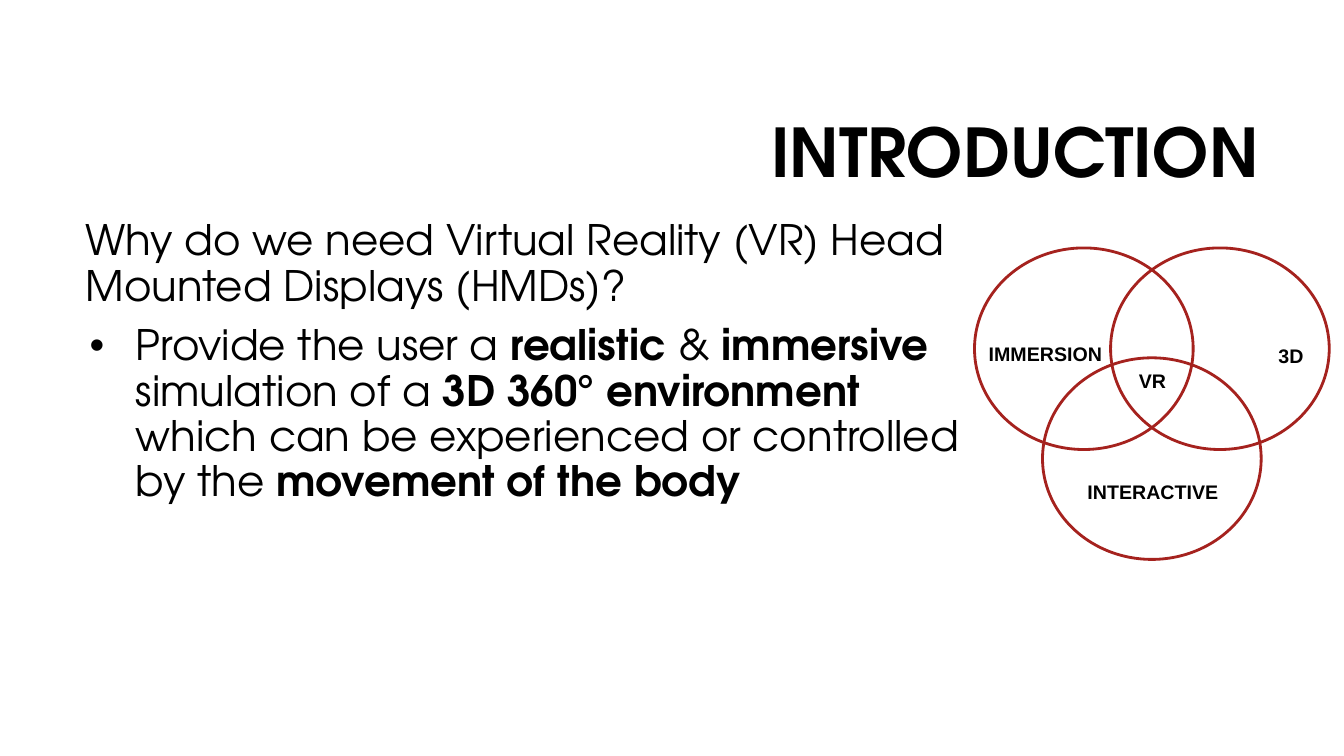
import pptx
import pptx.util
import pptx.dml.color
import pptx.enum.shapes
import pptx.enum.text
import pptx.oxml.ns
import lxml.etree

Pt = pptx.util.Pt
Align = pptx.enum.text.PP_ALIGN
Anchor = pptx.enum.text.MSO_ANCHOR


class Deck:
    head = "TeX Gyre Adventor"
    label = "Arial"
    hues = {"ink": "000000", "ring": "A5221E"}

    def __init__(self, wide, high):
        self.show = pptx.Presentation()
        self.show.slide_width, self.show.slide_height = Pt(wide), Pt(high)
        self.slide = self.show.slides.add_slide(self.show.slide_layouts[6])

    def hue(self, name):
        return pptx.dml.color.RGBColor.from_string(self.hues[name])

    def box(self, left, top, wide, high, anchor=Anchor.TOP):
        shape = self.slide.shapes.add_textbox(Pt(left), Pt(top), Pt(wide), Pt(high))
        frame = shape.text_frame
        frame.word_wrap = True
        frame.vertical_anchor = anchor
        return frame

    def fill(self, para, parts, size, font, align=Align.LEFT):
        """Fill a paragraph with (text, bold) parts."""
        para.alignment = align
        for text, bold in parts:
            run = para.add_run()
            run.text = text
            run.font.size = Pt(size)
            run.font.name = font
            run.font.bold = bold
            run.font.color.rgb = self.hue("ink")

    def bullet(self, para, left, hang):
        props = para._p.get_or_add_pPr()
        props.set("marL", str(Pt(left)))
        props.set("indent", str(-Pt(hang)))
        qn = pptx.oxml.ns.qn
        lxml.etree.SubElement(props, qn("a:buFont")).set("typeface", self.label)
        lxml.etree.SubElement(props, qn("a:buChar")).set("char", "•")

    def title(self, text, *area):
        para = self.box(*area, anchor=Anchor.MIDDLE).paragraphs[0]
        para.line_spacing = 0.9
        self.fill(para, [(text, True)], 48, self.head, Align.RIGHT)

    def body(self, lead, point, *area):
        frame = self.box(*area)
        first, second = frame.paragraphs[0], frame.add_paragraph()
        for para, parts in ((first, lead), (second, point)):
            para.line_spacing = 0.9
            para.space_before = Pt(10)
            self.fill(para, parts, 30, self.head)
        self.bullet(second, 36, 33)

    def ring(self, *area):
        oval = pptx.enum.shapes.MSO_SHAPE.OVAL
        shape = self.slide.shapes.add_shape(oval, *map(Pt, area))
        shape.shadow.inherit = False
        shape.fill.background()
        shape.line.color.rgb = self.hue("ring")
        shape.line.width = Pt(2)

    def tag(self, text, left, top, wide, align=Align.LEFT):
        para = self.box(left, top, wide, 24.5).paragraphs[0]
        self.fill(para, [(text, True)], 14, self.label, align)

    def save(self):
        self.show.save("out.pptx")


def main():
    deck = Deck(960, 540)

    # Title and body
    deck.title("INTRODUCTION", 228.2, 60.5, 678.2, 101.5)
    lead = [("Why do we need Virtual Reality (VR) Head Mounted Displays (HMDs)?", False)]
    point = [
        ("Provide the user a ", False),
        ("realistic ", True),
        ("& ", False),
        ("immersive", True),
        (" simulation of a ", False),
        ("3D 360° environment ", True),
        ("which can be experienced or controlled by the ", False),
        ("movement of the body", True),
    ]
    deck.body(lead, point, 54, 153.4, 642.2, 336.2)

    # Venn rings: two above, one centred below
    wide, high, mid, top, step = 156.2, 144, 744.7, 177.1, 48.6
    for side, drop in ((-step, 0), (step, 0), (0, 78.5)):
        deck.ring(mid + side, top + drop, wide, high)

    # Venn labels
    deck.tag("IMMERSION", 699.1, 240.5, 113)
    deck.tag("3D", 863.3, 241.9, 74.9, Align.RIGHT)
    deck.tag("INTERACTIVE", 769.7, 339.1, 108)
    deck.tag("VR", 806.4, 259.9, 46.1)

    deck.save()


if __name__ == "__main__":
    main()
